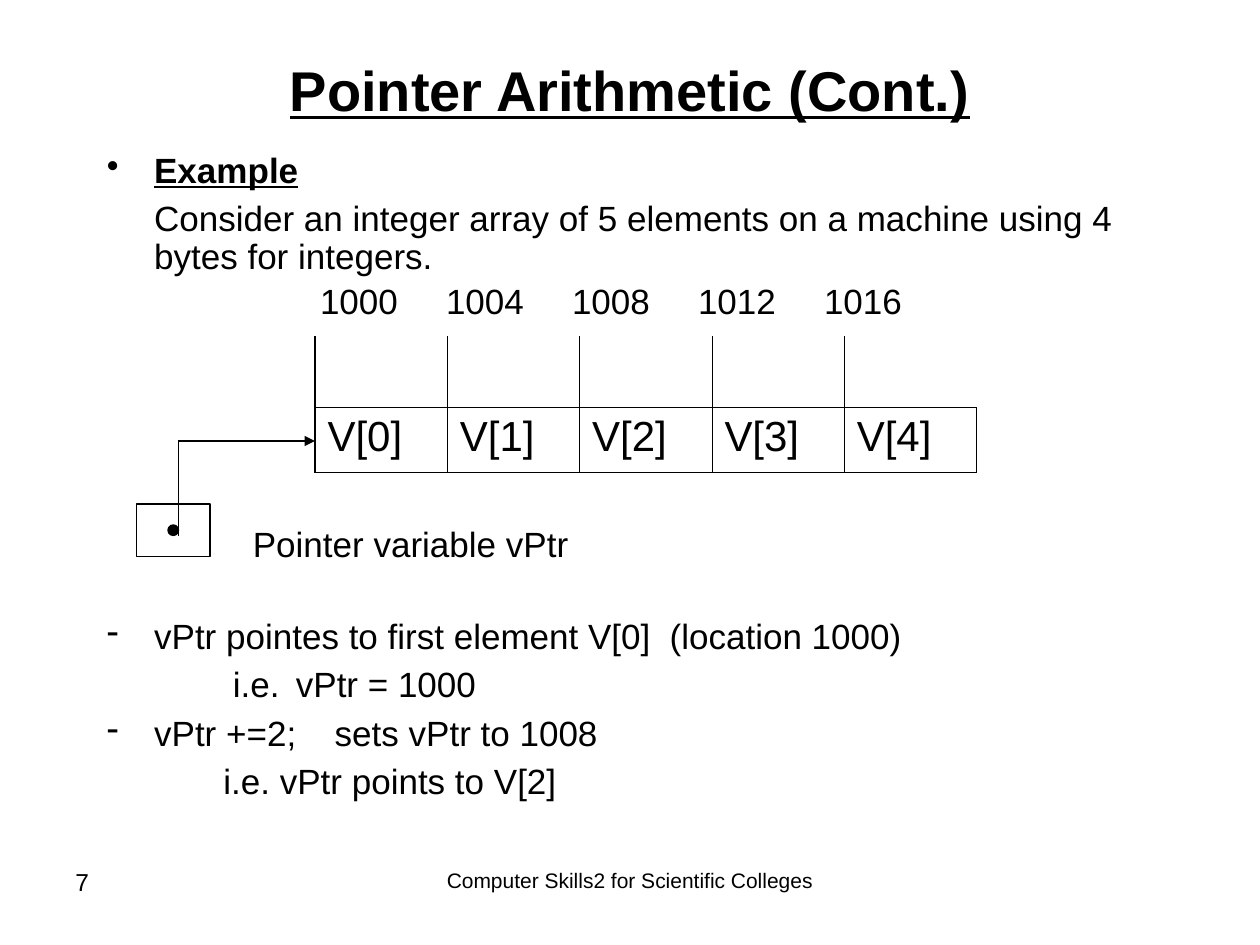
from lxml import etree
from pptx import Presentation, util as u
from pptx.dml import color
from pptx.enum import shapes, text
from pptx.oxml import ns

# Grid of 120 columns by 90 rows on a 10 x 7.5 inch page
COLUMNS, ROWS = 120, 90
UNIT = u.Inches(10) // COLUMNS
BLACK = "000000"
FONT = "Arial"
HANG = 4.5
ADDRESSES = ["1000", "1004", "1008", "1012", "1016"]
CELLS = [f"V[{index}]" for index in range(5)]


def grid(units):
    return u.Emu(round(units * UNIT))


def rgb(value):
    return color.RGBColor.from_string(value)


def add_child(parent, tag, **attributes):
    return etree.SubElement(parent, ns.qn(tag), attributes)


def style_runs(para, size, strong=False):
    for span in para.runs:
        span.font.name = FONT
        span.font.size = u.Pt(size)
        span.font.bold = strong
        span.font.underline = strong
        span.font.color.rgb = rgb(BLACK)


def format_para(para, indent=0, bullet=None, tabs=()):
    """Set the left margin, hanging bullet and tab stops of a paragraph."""
    props = para._p.get_or_add_pPr()
    props.set("marL", str(grid(indent)))
    props.set("indent", str(-grid(HANG) if bullet else 0))
    if bullet:
        add_child(props, "a:buChar", char=bullet)
    if tabs:
        stops = add_child(props, "a:tabLst")
        for stop in tabs:
            add_child(stops, "a:tab", pos=str(grid(stop)), algn="l")


def add_text(page, place, lines, size, align=text.PP_ALIGN.LEFT,
             anchor=text.MSO_ANCHOR.TOP, spacing=None):
    """Each line is (wording, strong, paragraph format)."""
    box = page.shapes.add_textbox(*map(grid, place))
    frame = box.text_frame
    frame.word_wrap = True
    frame.vertical_anchor = anchor
    frame.text = "\n".join(wording for wording, _, _ in lines)
    for number, (para, (_, strong, layout)) in enumerate(zip(frame.paragraphs, lines)):
        format_para(para, **layout)
        para.alignment = align
        para.line_spacing = spacing
        para.space_before = u.Pt(6 if number else 0)
        style_runs(para, size, strong)


def add_body(page, place, lines):
    add_text(page, place, lines, 20, spacing=0.9)


def add_outline(page, kind, place, fill=None):
    shape = page.shapes.add_shape(kind, *map(grid, place))
    shape.shadow.inherit = False
    if fill:
        shape.fill.solid()
        shape.fill.fore_color.rgb = rgb(fill)
    else:
        shape.fill.background()
    shape.line.color.rgb = rgb(BLACK)
    shape.line.width = u.Pt(0.75)


def add_line(page, start, end, arrow=False):
    line = page.shapes.add_connector(
        shapes.MSO_CONNECTOR.STRAIGHT, *map(grid, start + end))
    line.line.color.rgb = rgb(BLACK)
    line.line.width = u.Pt(0.75)
    if arrow:
        add_child(line.line._get_or_add_ln(), "a:tailEnd", type="triangle")
    add_child(line._element.spPr, "a:effectLst")


def set_borders(cell, widths):
    """Widths in points for left, right, top and bottom; 0 hides a side."""
    props = cell._tc.get_or_add_tcPr()
    for side, width in zip("LRTB", widths):
        border = add_child(props, f"a:ln{side}", w=str(u.Pt(width)))
        if width:
            add_child(add_child(border, "a:solidFill"), "a:srgbClr", val=BLACK)
        else:
            add_child(border, "a:noFill")
    cell.fill.background()


def add_array(page, place, heights):
    table = page.shapes.add_table(2, len(CELLS), *map(grid, place)).table
    table.first_row = table.horz_banding = False
    for row, height in zip(table.rows, heights):
        row.height = grid(height)
    last = len(CELLS) - 1
    thin, thick = 0.45, 1.08
    for index, wording in enumerate(CELLS):
        table.columns[index].width = grid(place[2] / len(CELLS))
        left = thin if index else thick
        upper, lower = table.cell(0, index), table.cell(1, index)
        set_borders(upper, (left, thin if index < last else 0, 0, thin))
        set_borders(lower, (left, thin if index < last else thick, thin, thick))
        lower.text_frame.text = wording
        style_runs(lower.text_frame.paragraphs[0], 24)


def main():
    deck = Presentation()
    deck.slide_width, deck.slide_height = grid(COLUMNS), grid(ROWS)
    page = deck.slides.add_slide(deck.slide_layouts[6])
    center = text.PP_ALIGN.CENTER

    # Title
    add_text(page, (9, 4, 102, 9), [("Pointer Arithmetic (Cont.)", True, {})],
             32, center, text.MSO_ANCHOR.MIDDLE)

    # Example
    add_body(page, (9, 14, 102, 12), [
        ("Example", True, {"indent": HANG, "bullet": "•"}),
        ("Consider an integer array of 5 elements on a machine using 4 "
         "bytes for integers.", False, {"indent": HANG}),
    ])

    # Array with its addresses
    add_body(page, (29.3, 26.5, 66, 5),
             [("\t".join(ADDRESSES), False, {"tabs": (12, 26, 39, 52.8)})])
    add_array(page, (30, 32, 63, 13), (6.8, 6.2))

    # Pointer variable and its arrow to the first element
    add_outline(page, shapes.MSO_SHAPE.RECTANGLE, (13, 48, 7, 5))
    add_outline(page, shapes.MSO_SHAPE.OVAL, (16, 50, 1, 1), BLACK)
    add_line(page, (17, 51), (17, 42))
    add_line(page, (17, 42), (30, 42), arrow=True)
    add_body(page, (22.9, 49.6, 40, 5), [("Pointer variable vPtr", False, {})])

    # Notes on the pointer
    point = {"indent": HANG, "bullet": "-"}
    add_body(page, (9, 58.4, 102, 20), [
        ("vPtr pointes to first element V[0]\t(location 1000)", False,
         {**point, "tabs": (53.6,)}),
        ("i.e.\tvPtr = 1000", False, {"indent": 12, "tabs": (18.4,)}),
        ("vPtr +=2;\tsets vPtr to 1008", False, {**point, "tabs": (21.7,)}),
        ("i.e. vPtr points to V[2]", False, {"indent": 11.1}),
    ])

    # Footer
    add_text(page, (6, 82, 28, 6), [("7", False, {})], 14)
    add_text(page, (41, 82, 38, 6),
             [("Computer Skills2 for Scientific Colleges", False, {})], 12, center)

    deck.save("out.pptx")


if __name__ == "__main__":
    main()
